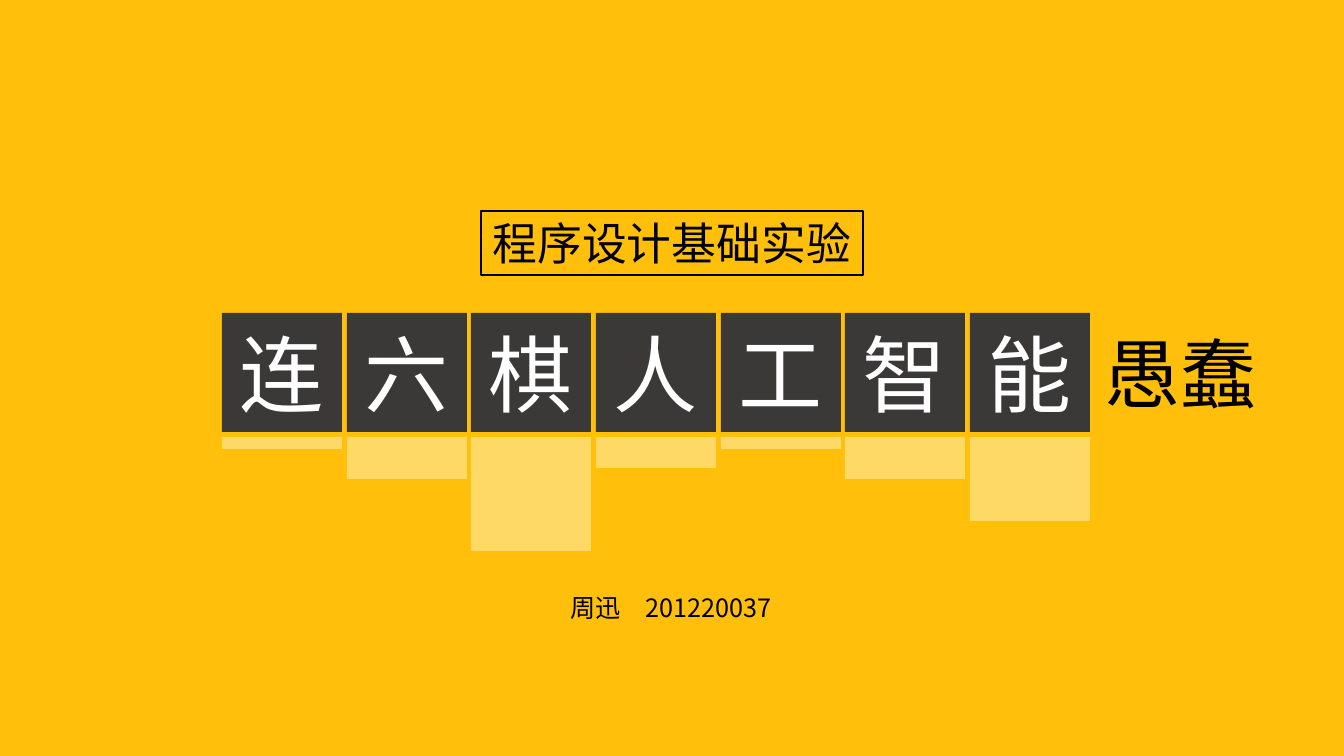
from pptx import Presentation
from pptx.dml.color import RGBColor
from pptx.enum.shapes import MSO_SHAPE
from pptx.enum.text import MSO_ANCHOR, MSO_AUTO_SIZE, PP_ALIGN
from pptx.oxml.ns import qn
from pptx.util import Pt
from lxml.etree import SubElement

FONT = "Noto Sans CJK SC"
GOLD, DARK, PALE = "FFBF0B", "3B3838", "FFD966"
BLACK, WHITE = "000000", "FFFFFF"

COURSE = "程序设计基础实验"
AUTHOR = "周迅\u3000201220037"
JOKE = "愚蠢"
# Title character and the height of the bar hanging below it
TILES = [("连", 12), ("六", 42), ("棋", 114), ("人", 31),
         ("工", 12), ("智", 42), ("能", 84)]

SCALE = 9071.43  # EMU per pixel
LEFT, SPAN = 222, 748  # first tile, and distance from it to the last
TILE_TOP, BAR_TOP = 313, 437
WIDE, HIGH = 120, 119


def emu(*sizes):
    """Turn pixels into EMU."""
    return [round(size * SCALE) for size in sizes]


def color(code):
    """Turn a hex string into a colour."""
    return RGBColor.from_string(code)


def write(shape, text, size, code, align=PP_ALIGN.CENTER):
    """Put one styled line of text in a shape."""
    frame = shape.text_frame
    frame.text = text
    frame.word_wrap = True
    line = frame.paragraphs[0]
    line.alignment = align
    font = line.runs[0].font
    font.size, font.name = Pt(size), FONT
    font.color.rgb = color(code)
    SubElement(line.runs[0].font._element, qn("a:ea")).set("typeface", FONT)
    return frame


def block(slide, box, fill=None, edge=None):
    """Draw a flat rectangle."""
    shape = slide.shapes.add_shape(MSO_SHAPE.RECTANGLE, *emu(*box))
    shape.shadow.inherit = False
    if fill:
        shape.fill.solid()
        shape.fill.fore_color.rgb = color(fill)
    else:
        shape.fill.background()
    if edge:
        shape.line.color.rgb = color(edge)
        shape.line.width = Pt(1)
    else:
        shape.line.fill.background()
    return shape


def label(slide, box, text, size, align):
    """Add a text box that grows with its text."""
    shape = slide.shapes.add_textbox(*emu(*box))
    frame = write(shape, text, size, BLACK, align)
    frame.auto_size = MSO_AUTO_SIZE.SHAPE_TO_FIT_TEXT


deck = Presentation()
deck.slide_width, deck.slide_height = emu(1344, 756)
slide = deck.slides.add_slide(deck.slide_layouts[6])
slide.background.fill.solid()
slide.background.fill.fore_color.rgb = color(GOLD)

for i, (char, drop) in enumerate(TILES):
    x = LEFT + round(i * SPAN / (len(TILES) - 1))
    tile = block(slide, (x, TILE_TOP, WIDE, HIGH), DARK)
    write(tile, char, 60, WHITE).vertical_anchor = MSO_ANCHOR.MIDDLE
    block(slide, (x, BAR_TOP, WIDE, drop), PALE)

course = block(slide, (481, 211, 382, 64), edge=BLACK)
frame = write(course, COURSE, 32, BLACK)
frame.vertical_anchor = MSO_ANCHOR.MIDDLE
frame.word_wrap = False
frame.auto_size = MSO_AUTO_SIZE.SHAPE_TO_FIT_TEXT

label(slide, (428, 587, 486, 41), AUTHOR, 18, PP_ALIGN.CENTER)
label(slide, (1095, 322, 214, 102), JOKE, 54, PP_ALIGN.LEFT)

deck.save("out.pptx")
